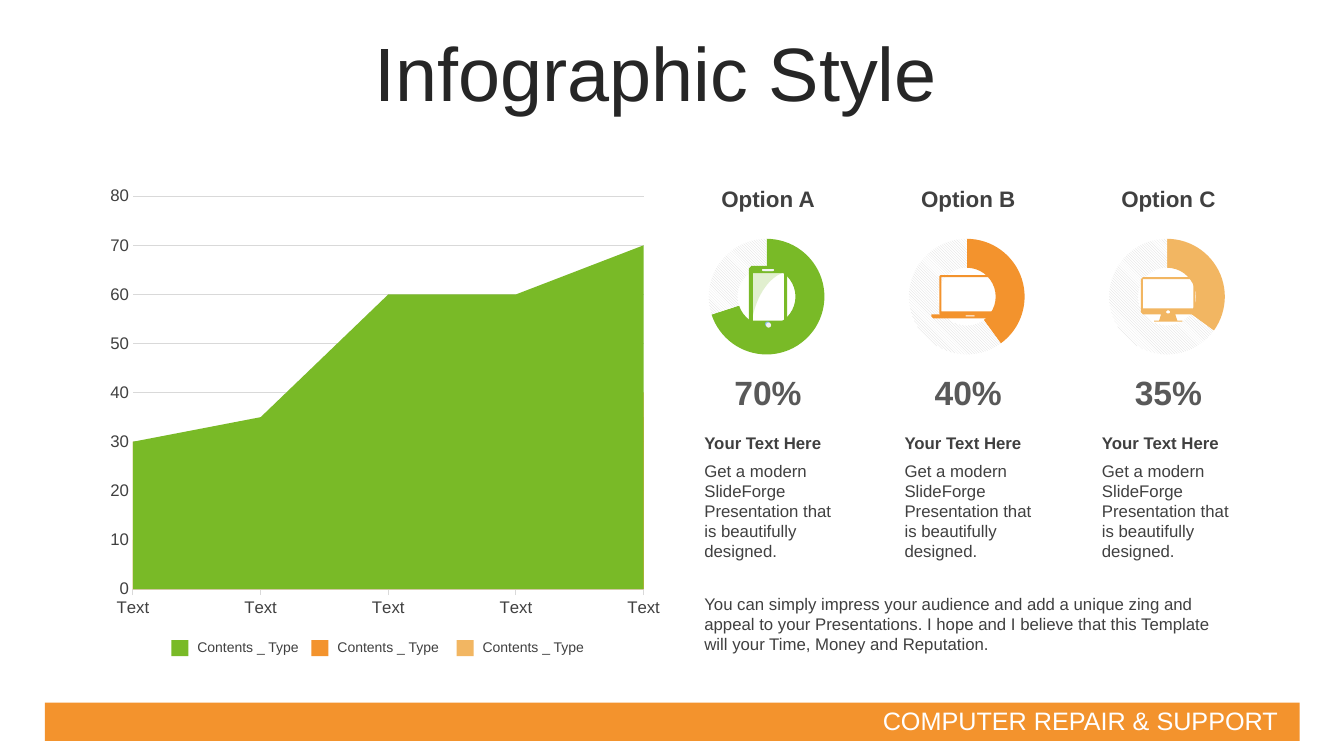
"""Build the infographic slide with an area chart and three option rings."""
from dataclasses import dataclass
from typing import Any

from lxml import etree
from pptx import Presentation
from pptx import util as u
from pptx.chart import data as cd
from pptx.dml import color as dc
from pptx.enum import chart as ec
from pptx.enum import dml, shapes, text
from pptx.oxml import ns

Point = tuple[float, float]
Contour = list[Point]

COLORS = {"green": "79BA27", "orange": "F3932D", "sand": "F2B662", "white": "FFFFFF",
          "title": "262626", "body": "404040", "percent": "595959", "grid": "D9D9D9",
          "blue": "87BCE6", "pale": "F2F2F2"}
FONT = "Arial"
RING_CENTER, RING_STEP = 548.6, 143


@dataclass(frozen=True)
class Option:
    name: str
    percent: int
    color: str
    text_left: float
    text_width: float
    icon: list[Contour]


@dataclass(frozen=True)
class Key:
    left: float
    color: str


@dataclass(frozen=True)
class Detail:
    kind: Any
    left: float
    top: float
    width: float
    height: float
    color: str


def rgb(name: str) -> dc.RGBColor:
    return dc.RGBColor.from_string(COLORS[name])


def box(left: float, top: float, right: float, bottom: float, cut: float = 0) -> Contour:
    if not cut:
        return [(left, top), (right, top), (right, bottom), (left, bottom)]
    return [(left + cut, top), (right - cut, top), (right, top + cut), (right, bottom - cut),
            (right - cut, bottom), (left + cut, bottom), (left, bottom - cut), (left, top + cut)]


def bezier(a: Point, b: Point, c: Point, d: Point, steps: int = 16) -> Contour:
    def at(t: float, i: int) -> float:
        s = 1 - t
        return s**3 * a[i] + 3 * s * s * t * b[i] + 3 * s * t * t * c[i] + t**3 * d[i]
    return [(at(n / steps, 0), at(n / steps, 1)) for n in range(steps + 1)]


def paint(sp: Any, color: str) -> Any:
    sp.shadow.inherit = False
    sp.fill.solid()
    sp.fill.fore_color.rgb = rgb(color)
    sp.line.fill.background()
    return sp


def add_shape(s: Any, d: Detail) -> Any:
    sp = s.shapes.add_shape(d.kind, u.Pt(d.left), u.Pt(d.top), u.Pt(d.width), u.Pt(d.height))
    if d.kind == shapes.MSO_SHAPE.ROUNDED_RECTANGLE:
        sp.adjustments[0] = 0.5
    return paint(sp, d.color)


def add_outline(s: Any, contours: list[Contour], color: str) -> Any:
    scaled = [[(x * 100, y * 100) for x, y in c] for c in contours]
    fb = s.shapes.build_freeform(*scaled[0][0], scale=u.Pt(1) / 100)
    for i, c in enumerate(scaled):
        if i:
            fb.move_to(*c[0])
        fb.add_line_segments(c[1:], close=True)
    return paint(fb.convert_to_shape(), color)


def write(sp: Any, content: str, *, size: float, color: str = "body", bold: bool = False,
          align: Any = text.PP_ALIGN.LEFT, anchor: Any = text.MSO_ANCHOR.TOP,
          wrap: bool = True, spacing: float = 1) -> None:
    tf = sp.text_frame
    tf.word_wrap = wrap
    tf.auto_size = text.MSO_AUTO_SIZE.NONE
    tf.vertical_anchor = anchor
    p = tf.paragraphs[0]
    p.alignment = align
    p.line_spacing = spacing
    r = p.add_run()
    r.text = content
    r.font.name = FONT
    r.font.size = u.Pt(size)
    r.font.bold = bold
    r.font.color.rgb = rgb(color)


def add_box(s: Any, left: float, top: float, width: float, height: float) -> Any:
    return s.shapes.add_textbox(u.Pt(left), u.Pt(top), u.Pt(width), u.Pt(height))


def add_chart(s: Any, kind: Any, cats: list[str], series: list[tuple], *place: float) -> Any:
    data = cd.CategoryChartData()
    data.categories = cats
    for n, values in enumerate(series, 1):
        data.add_series(f"Series {n}", values)
    chart = s.shapes.add_chart(kind, *map(u.Pt, place), data).chart
    chart.has_legend = chart.has_title = False
    chart.font.name, chart.font.size = FONT, u.Pt(12)
    chart.font.color.rgb = rgb("body")
    chart.plots[0].vary_by_categories = False
    return chart


def add_area(s: Any) -> None:
    chart = add_chart(s, ec.XL_CHART_TYPE.AREA, ["Text"] * 5,
                      [(30, 35, 60, 60, 70), (30, 25, 35, 30, 40), (10, 15, 25, 30, 35)],
                      70.6, 127.4, 409, 319.7)
    for series, color in zip(chart.plots[0].series, ("green", "orange", "sand")):
        series.format.fill.solid()
        series.format.fill.fore_color.rgb = rgb(color)
    cat, val = chart.category_axis, chart.value_axis
    cat.has_major_gridlines = False
    cat.major_tick_mark = ec.XL_TICK_MARK.OUTSIDE
    val.major_tick_mark = ec.XL_TICK_MARK.NONE
    val.minimum_scale, val.maximum_scale, val.major_unit = 0, 80, 10
    val.has_major_gridlines = True
    for line in (cat.format.line, val.major_gridlines.format.line):
        line.color.rgb = rgb("grid")
        line.width = u.Pt(0.75)
    val.format.line.fill.background()


def add_ring(s: Any, o: Option, center: float) -> None:
    chart = add_chart(s, ec.XL_CHART_TYPE.DOUGHNUT, ["1", "2"], [(o.percent, 100 - o.percent)],
                      center - 42.5, 170.6, 85, 87.8)
    share, rest = (chart.plots[0].series[0].points[i].format for i in range(2))
    share.fill.solid()
    share.fill.fore_color.rgb = rgb(o.color)
    rest.fill.patterned()
    rest.fill.pattern = dml.MSO_PATTERN.LIGHT_DOWNWARD_DIAGONAL
    rest.fill.fore_color.rgb, rest.fill.back_color.rgb = rgb("grid"), rgb("white")
    for part in (share, rest):
        part.line.fill.background()
    chart.element.find(".//" + ns.qn("c:holeSize")).set("val", "85")
    area = chart.element.find(".//" + ns.qn("c:plotArea"))
    for old in area.findall(ns.qn("c:layout")):
        area.remove(old)
    layout = etree.Element(ns.qn("c:layout"))
    manual = etree.SubElement(layout, ns.qn("c:manualLayout"))
    for tag, value in (("layoutTarget", "inner"), ("xMode", "edge"), ("yMode", "edge"),
                       ("x", "0"), ("y", "0"), ("w", "0.976"), ("h", "0.942")):
        etree.SubElement(manual, ns.qn("c:" + tag)).set("val", value)
    area.insert(0, layout)


def main() -> None:
    oval, pill, rect = (shapes.MSO_SHAPE.OVAL, shapes.MSO_SHAPE.ROUNDED_RECTANGLE,
                        shapes.MSO_SHAPE.RECTANGLE)
    center, middle = text.PP_ALIGN.CENTER, text.MSO_ANCHOR.MIDDLE
    phone = [box(535, 190, 562.2, 234.8, 1.8), box(537.8, 195.1, 560.2, 229)]
    laptop = [box(671, 196.6, 715, 224.6, 0.7), box(672.5, 198, 713.5, 222.5),
              [(665.3, 224.6), (720.7, 224.6), (720.7, 226.1), (719.3, 227.5),
               (666.7, 227.5), (665.3, 226.1)], box(689.8, 225.4, 696.2, 226.1)]
    monitor = [box(815, 198, 853.9, 224.6, 1.4), box(816.5, 199.4, 852.5, 220.3),
               box(833, 221.8, 835.9, 223.9, 0.7),
               [(839.5, 224.6), (841, 229), (844.6, 229), (844.6, 229.7),
                (824.4, 229.7), (824.4, 229), (828, 229), (829.4, 224.6)]]
    options = [Option("Option A", 70, "green", 496, 106, phone),
               Option("Option B", 40, "orange", 639, 106, laptop),
               Option("Option C", 35, "sand", 780, 109.4, monitor)]
    keys = [Key(122.4, "green"), Key(222.5, "orange"), Key(326.2, "sand")]
    details = [Detail(pill, 545.8, 192.2, 6.5, 1.4, "blue"),
               Detail(oval, 546.5, 229.7, 3.6, 3.6, "blue"),
               Detail(pill, 544.3, 192.2, 8.6, 1.4, "pale"),
               Detail(oval, 547.2, 230.4, 3.6, 3.6, "pale")]

    prs = Presentation()
    prs.slide_width, prs.slide_height = u.Pt(960), u.Pt(540)
    s = prs.slides.add_slide(prs.slide_layouts[5])
    title = s.shapes.title
    title.left, title.top, title.width, title.height = map(u.Pt, (0, 26.6, 936.7, 56.9))
    write(title, "Infographic Style", size=54, color="title", align=center, anchor=middle,
          spacing=0.9)
    add_shape(s, Detail(rect, 32, 501.8, 896.4, 27.4, "orange"))
    write(add_box(s, 623.5, 500.4, 304.6, 28.8), "COMPUTER REPAIR & SUPPORT", size=18,
          color="white", anchor=middle, wrap=False)

    add_area(s)
    for k in keys:
        add_shape(s, Detail(rect, k.left, 457.2, 12.2, 11.5, k.color))
        write(add_box(s, k.left + 11.5, 452.2, 90.7, 19.4), "Contents _ Type", size=10,
              anchor=middle)

    for i, o in enumerate(options):
        mid = RING_CENTER + i * RING_STEP
        write(add_box(s, mid - 59, 128.9, 118, 26.6), o.name, size=16, bold=True, align=center)
        add_ring(s, o, mid)
        add_outline(s, o.icon, o.color)
        write(add_box(s, mid - 34, 262, 68, 36), f"{o.percent}%", size=24, color="percent",
              bold=True, align=center, anchor=middle)
        write(add_box(s, o.text_left, 305.3, o.text_width, 21.6), "Your Text Here", size=12,
              bold=True)
        write(add_box(s, o.text_left, 325.4, o.text_width, 80),
              "Get a modern SlideForge Presentation that is beautifully designed.", size=12)

    curve = bezier((537.1, 229), (540.7, 208.8), (550.8, 198), (558.7, 195.1))
    glare = add_outline(s, [[(537.1, 195.1), *curve]], "green")
    tint = glare.fill._xPr.find(".//" + ns.qn("a:srgbClr"))
    etree.SubElement(tint, ns.qn("a:alpha")).set("val", "22000")
    for d in details:
        add_shape(s, d)
    write(add_box(s, 496, 420.5, 380.9, 51.1),
          "You can simply impress your audience and add a unique zing and appeal to your "
          "Presentations. I hope and I believe that this Template will your Time, Money and "
          "Reputation.", size=12)
    prs.save("out.pptx")


if __name__ == "__main__":
    main()
